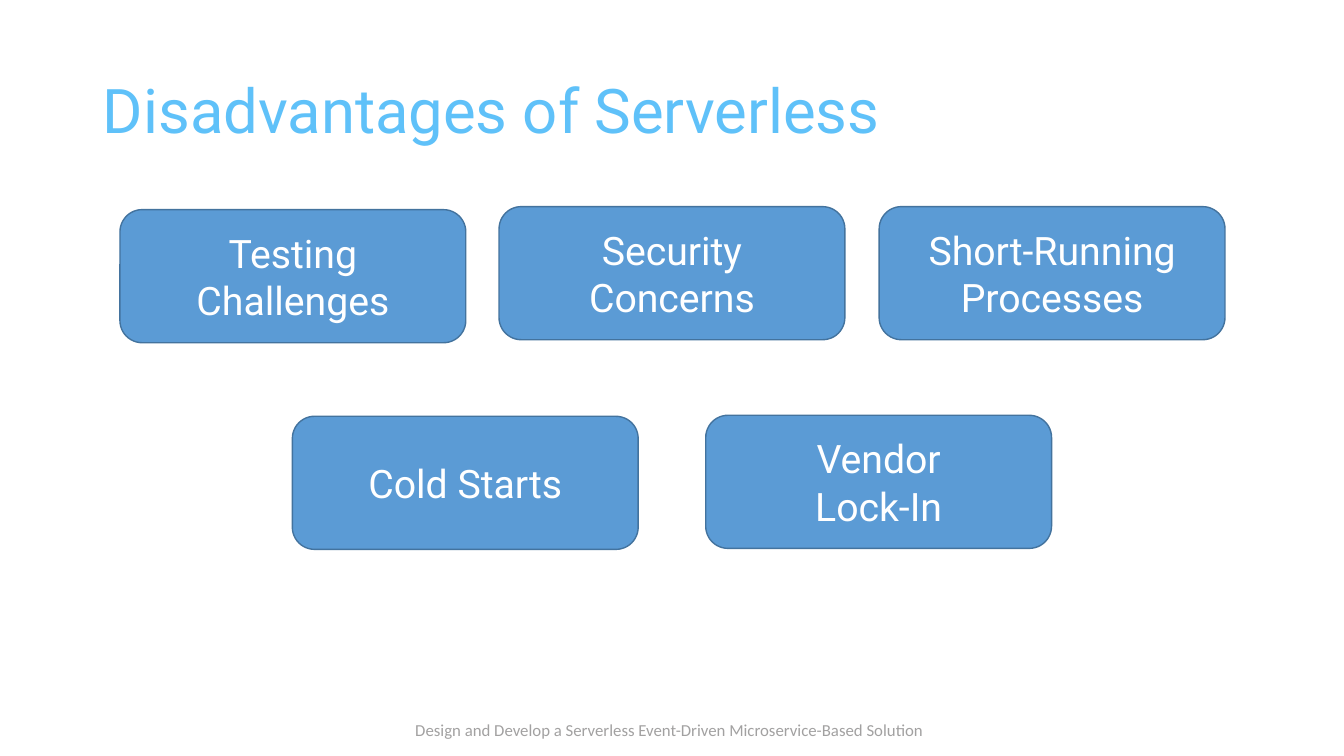
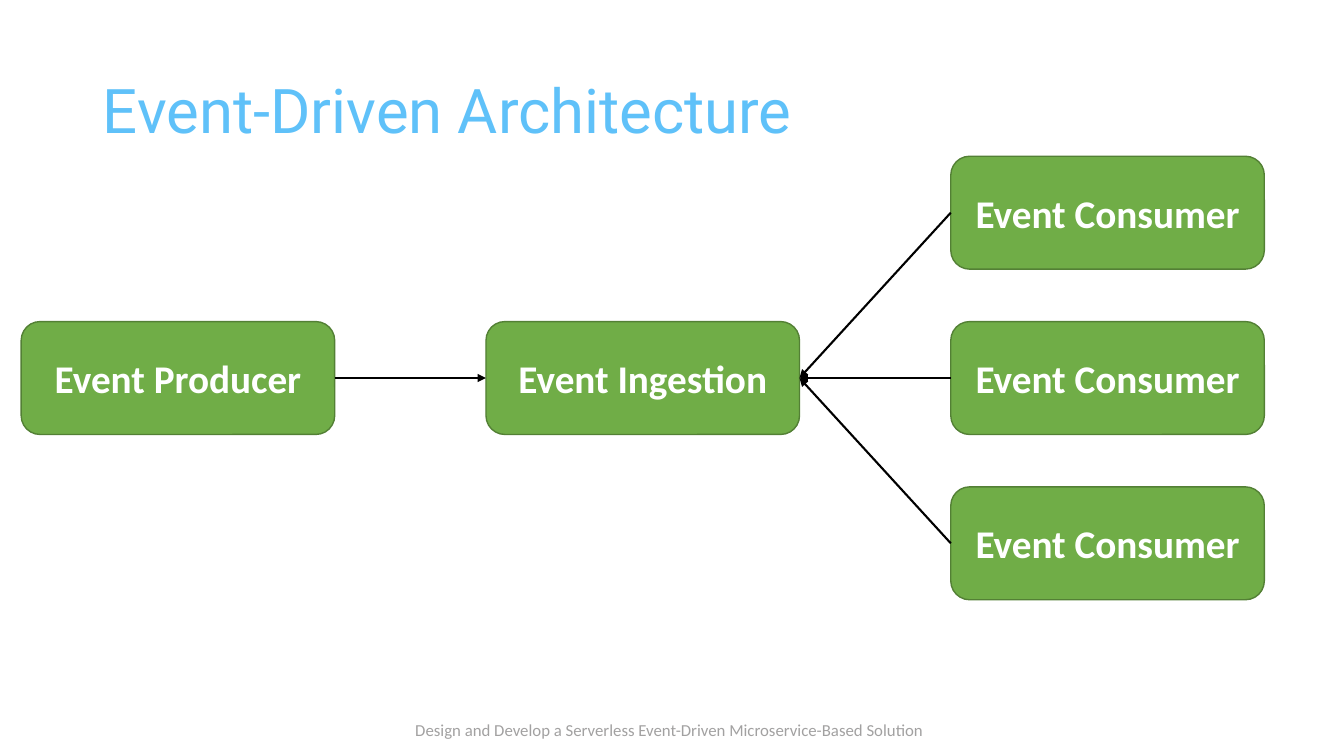
from dataclasses import dataclass

from pptx import Presentation
from pptx.dml.color import RGBColor
from pptx.enum.shapes import MSO_CONNECTOR as Connector, MSO_SHAPE as Preset
from pptx.enum.text import MSO_ANCHOR as Anchor, MSO_AUTO_SIZE as AutoSize, PP_ALIGN as Align
from pptx.oxml.ns import qn
from pptx.shapes.autoshape import Shape
from pptx.slide import Slide
from pptx.text.text import TextFrame
from pptx.util import Inches, Pt
from lxml.etree import SubElement

COLORS = {
    "title": "5FC1F9",
    "footer": "A2A1A1",
    "blue": "5B9BD5",
    "blue_edge": "43739E",
    "green": "70AD47",
    "green_edge": "538035",
    "white": "FFFFFF",
    "black": "000000",
}
FOOTER = "Design and Develop a Serverless Event-Driven Microservice-Based Solution"
LEFT_SITE, RIGHT_SITE = 1, 3


@dataclass(frozen=True)
class BoxStyle:
    width: float
    height: float
    fill: str
    edge: str
    font: str
    bold: bool


@dataclass(frozen=True)
class Box:
    text: str
    left: float
    top: float


DRAWBACK = BoxStyle(3.43, 1.32, "blue", "blue_edge", "Roboto", False)
STAGE = BoxStyle(3.11, 1.12, "green", "green_edge", "Calibri", True)


def color(name: str) -> RGBColor:
    return RGBColor.from_string(COLORS[name])


def write(frame: TextFrame, text: str, *, size: float, font: str, ink: str,
          bold: bool = False, align: Align = Align.LEFT,
          anchor: Anchor = Anchor.TOP, spacing: float = 1.0,
          wrap: bool = True, fit: AutoSize = AutoSize.NONE) -> None:
    frame.text = text
    frame.word_wrap = wrap
    frame.auto_size = fit
    frame.vertical_anchor = anchor
    for paragraph in frame.paragraphs:
        paragraph.alignment = align
        paragraph.line_spacing = spacing
        paragraph.font.size = Pt(size)
        paragraph.font.name = font
        paragraph.font.bold = bold
        paragraph.font.color.rgb = color(ink)


def add_page(deck: Presentation, heading: str) -> Slide:
    """Add a slide with the shared footer and title."""
    slide = deck.slides.add_slide(deck.slide_layouts.get_by_name("Title Only"))
    footer = slide.shapes.add_textbox(Inches(4.02), Inches(7.09), Inches(5.3), Inches(0.3))
    write(footer.text_frame, FOOTER, size=12, font="Calibri", ink="footer",
          wrap=False, fit=AutoSize.SHAPE_TO_FIT_TEXT)
    title = slide.shapes.title
    title.left, title.top = Inches(0.92), Inches(0.4)
    title.width, title.height = Inches(11.5), Inches(1.45)
    write(title.text_frame, heading, size=44, font="Roboto", ink="title",
          anchor=Anchor.MIDDLE, spacing=0.9)
    return slide


def add_box(slide: Slide, box: Box, style: BoxStyle) -> Shape:
    shape = slide.shapes.add_shape(
        Preset.ROUNDED_RECTANGLE, Inches(box.left), Inches(box.top),
        Inches(style.width), Inches(style.height))
    shape.shadow.inherit = False
    shape.fill.solid()
    shape.fill.fore_color.rgb = color(style.fill)
    shape.line.color.rgb = color(style.edge)
    shape.line.width = Pt(1)
    write(shape.text_frame, box.text, size=28, font=style.font, ink="white",
          bold=style.bold, align=Align.CENTER, anchor=Anchor.MIDDLE)
    return shape


def add_arrow(slide: Slide, source: Shape, source_site: int,
              target: Shape, target_site: int) -> None:
    arrow = slide.shapes.add_connector(Connector.STRAIGHT, 0, 0, 0, 0)
    arrow.begin_connect(source, source_site)
    arrow.end_connect(target, target_site)
    arrow.line.color.rgb = color("black")
    arrow.line.width = Pt(1.5)
    SubElement(arrow.line._get_or_add_ln(), qn("a:tailEnd"), type="triangle")
    SubElement(arrow._element.spPr, qn("a:effectLst"))


def build_disadvantages(deck: Presentation) -> None:
    slide = add_page(deck, "Disadvantages of Serverless")
    drawbacks = (
        Box("Testing Challenges", 1.19, 2.08),
        Box("Security Concerns", 4.95, 2.05),
        Box("Short-Running Processes", 8.72, 2.05),
        Box("Cold Starts", 2.9, 4.13),
        Box("Vendor\nLock-In", 7, 4.12),
    )
    for drawback in drawbacks:
        add_box(slide, drawback, DRAWBACK)


def build_architecture(deck: Presentation) -> None:
    slide = add_page(deck, "Event-Driven Architecture")
    # Three columns; the consumers are stacked around the middle row
    producer_left, middle_top = 0.21, 3.19
    column_step, row_step = 4.61, 1.64
    ingestion_left = producer_left + column_step
    consumer_left = ingestion_left + column_step
    producer = add_box(slide, Box("Event Producer", producer_left, middle_top), STAGE)
    ingestion = add_box(slide, Box("Event Ingestion", ingestion_left, middle_top), STAGE)
    consumers = [
        add_box(slide, Box("Event Consumer", consumer_left, middle_top + row * row_step), STAGE)
        for row in (-1, 0, 1)
    ]
    # Arrows into the ingestion stage
    add_arrow(slide, producer, RIGHT_SITE, ingestion, LEFT_SITE)
    for consumer in consumers:
        add_arrow(slide, consumer, LEFT_SITE, ingestion, RIGHT_SITE)


def main() -> None:
    deck = Presentation()
    deck.slide_width, deck.slide_height = Inches(13.33), Inches(7.5)
    build_disadvantages(deck)
    build_architecture(deck)
    deck.save("out.pptx")


if __name__ == "__main__":
    main()
